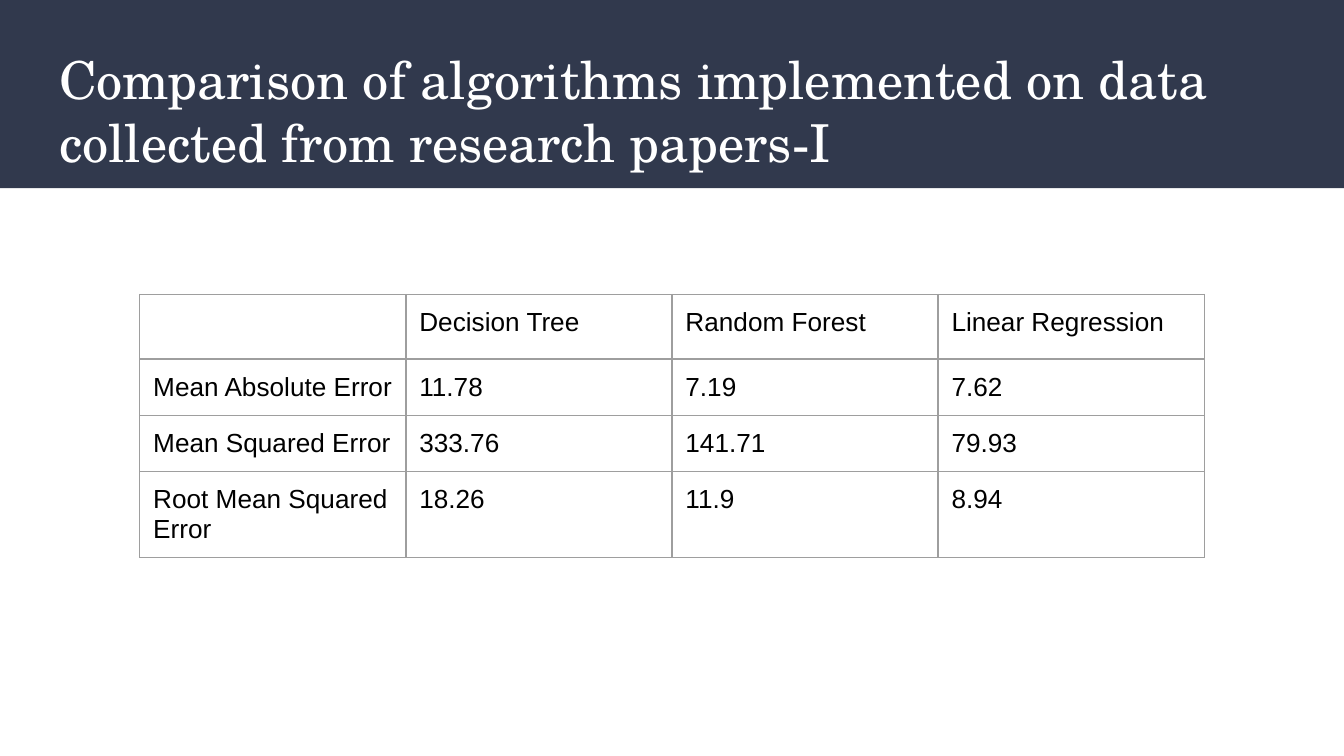
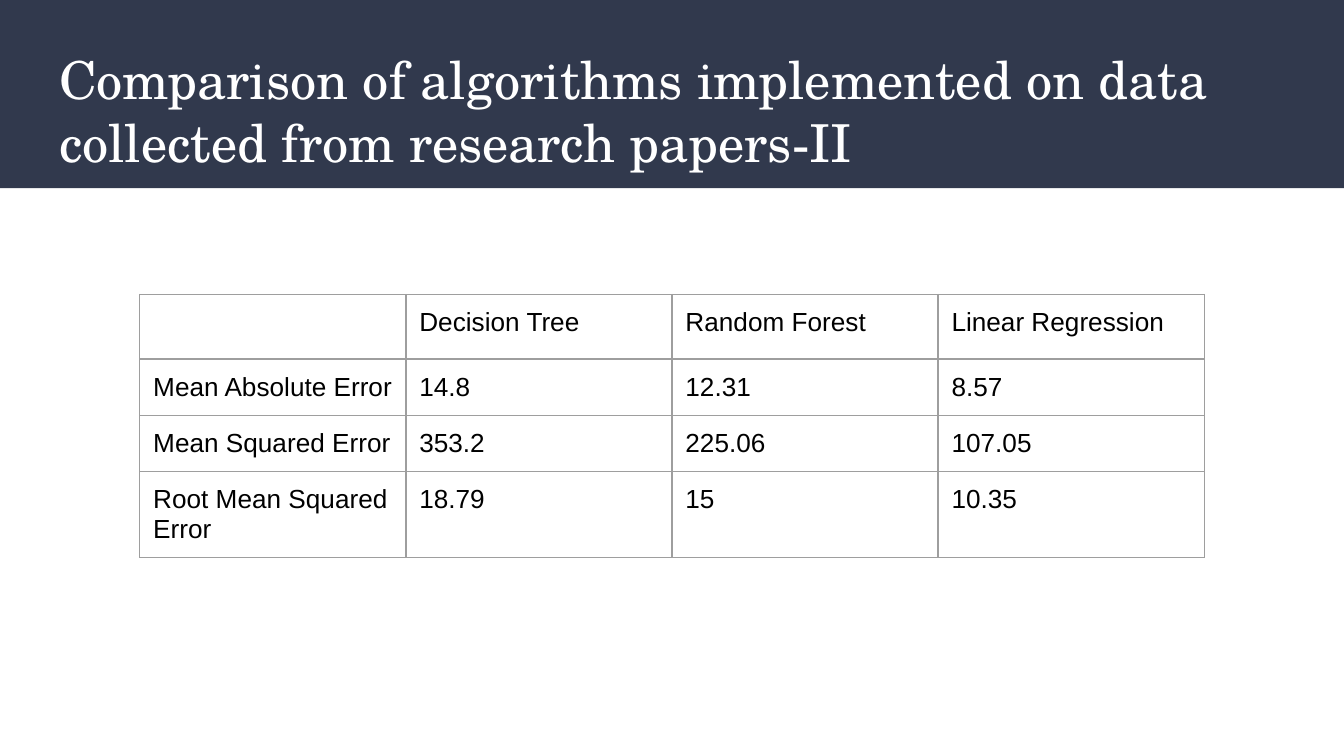
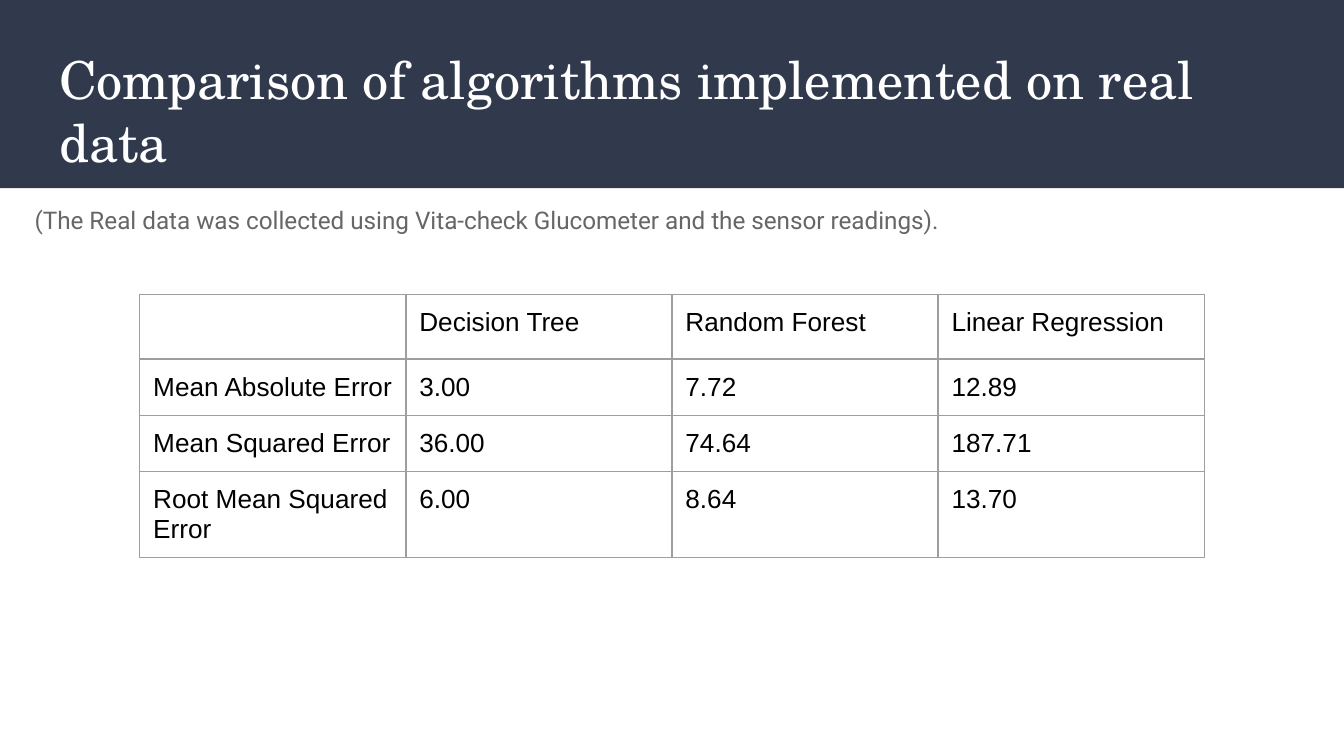
"""Build three slides that compare the errors of regression algorithms."""
from dataclasses import dataclass

from lxml import etree
from pptx import Presentation
from pptx import util as u
from pptx.dml.color import RGBColor
from pptx.enum import shapes, text
from pptx.oxml import ns


@dataclass(frozen=True)
class Theme:
    band: str = "31394D"
    title: str = "FFFFFF"
    cell: str = "000000"
    note: str = "666666"
    border: str = "9E9E9E"
    title_font: str = "TeX Gyre Schola"
    cell_font: str = "Arial"
    note_font: str = "Roboto"
    title_size: int = 28
    cell_size: int = 14
    note_size: int = 13
    border_width: float = 0.75
    inset: float = 0.1


ALGORITHMS = ["Decision Tree", "Random Forest", "Linear Regression"]
METRICS = ["Mean Absolute Error", "Mean Squared Error", "Root Mean Squared Error"]
COMPARISONS = [
    ("Comparison of algorithms implemented on data collected from research papers-I",
     [["11.78", "7.19", "7.62"],
      ["333.76", "141.71", "79.93"],
      ["18.26", "11.9", "8.94"]],
     None),
    ("Comparison of algorithms implemented on data collected from research papers-II",
     [["14.8", "12.31", "8.57"],
      ["353.2", "225.06", "107.05"],
      ["18.79", "15", "10.35"]],
     None),
    ("Comparison of algorithms implemented on real data",
     [["3.00", "7.72", "12.89"],
      ["36.00", "74.64", "187.71"],
      ["6.00", "8.64", "13.70"]],
     "(The Real data was collected using Vita-check Glucometer and the sensor readings)."),
]


class DeckBuilder:
    def __init__(self, theme):
        self.theme = theme
        self.deck = Presentation()
        self.deck.slide_width = u.Inches(10)
        self.deck.slide_height = u.Inches(10 * 9 / 16)
        self.page = None

    def start_page(self, title):
        layout = self.deck.slide_layouts.get_by_name("Title Only")
        self.page = self.deck.slides.add_slide(layout)
        self.add_title(title)
        self.add_band()

    def add_band(self):
        band = self.page.shapes.add_shape(
            shapes.MSO_SHAPE.RECTANGLE, 0, 0, self.deck.slide_width, u.Inches(1.4))
        band.shadow.inherit = False
        band.fill.solid()
        band.fill.fore_color.rgb = RGBColor.from_string(self.theme.band)
        band.line.fill.background()
        self.page.shapes.title.element.addprevious(band.element)

    def add_title(self, words):
        box = self.page.shapes.title
        box.left, box.top = u.Inches(0.34), u.Inches(0.25)
        box.width, box.height = u.Inches(9.32), u.Inches(0.68)
        self.fill_box(box, words, self.theme.title_font,
                      self.theme.title_size, self.theme.title)

    def add_note(self, words):
        box = self.page.shapes.add_textbox(
            u.Inches(0.16), u.Inches(1.43), u.Inches(7.86), u.Inches(0.68))
        self.fill_box(box, words, self.theme.note_font,
                      self.theme.note_size, self.theme.note)

    def add_table(self, rows):
        column_width, row_height = u.Inches(1.98), u.Inches(0.42)
        columns = len(rows[0])
        table = self.page.shapes.add_table(
            len(rows), columns, u.Inches(1.04), u.Inches(2.19),
            column_width * columns, row_height * len(rows)).table
        table.first_row = table.horz_banding = False
        for row, values in enumerate(rows):
            for column, words in enumerate(values):
                self.fill_cell(table.cell(row, column), words)

    def fill_cell(self, cell, words):
        self.set_insets(cell)
        self.add_borders(cell)
        cell.fill.background()
        para = cell.text_frame.paragraphs[0]
        if words:
            self.add_span(para, words, self.theme.cell_font,
                          self.theme.cell_size, self.theme.cell)
        else:
            ending = etree.SubElement(para._p, ns.qn("a:endParaRPr"))
            etree.SubElement(ending, ns.qn("a:latin"), typeface=self.theme.cell_font)

    def add_borders(self, cell):
        properties = cell._tc.get_or_add_tcPr()
        for side in ("a:lnL", "a:lnR", "a:lnT", "a:lnB"):
            line = etree.SubElement(properties, ns.qn(side),
                                    w=str(u.Pt(self.theme.border_width)))
            fill = etree.SubElement(line, ns.qn("a:solidFill"))
            etree.SubElement(fill, ns.qn("a:srgbClr"), val=self.theme.border)

    def fill_box(self, box, words, font, size, color):
        frame = box.text_frame
        frame.word_wrap = True
        frame.auto_size = text.MSO_AUTO_SIZE.NONE
        frame.vertical_anchor = text.MSO_ANCHOR.TOP
        self.set_insets(frame)
        para = frame.paragraphs[0]
        para.alignment = text.PP_ALIGN.LEFT
        self.add_span(para, words, font, size, color)

    def set_insets(self, holder):
        inset = u.Inches(self.theme.inset)
        holder.margin_left = holder.margin_right = inset
        holder.margin_top = holder.margin_bottom = inset

    def add_span(self, para, words, font, size, color):
        span = para.add_run()
        span.text = words
        span.font.name = font
        span.font.size = u.Pt(size)
        span.font.color.rgb = RGBColor.from_string(color)


def main():
    builder = DeckBuilder(Theme())
    for title, errors, note in COMPARISONS:
        builder.start_page(title)
        builder.add_table([["", *ALGORITHMS]] + [
            [metric, *values] for metric, values in zip(METRICS, errors)])
        if note:
            builder.add_note(note)
    builder.deck.save("out.pptx")


if __name__ == "__main__":
    main()
